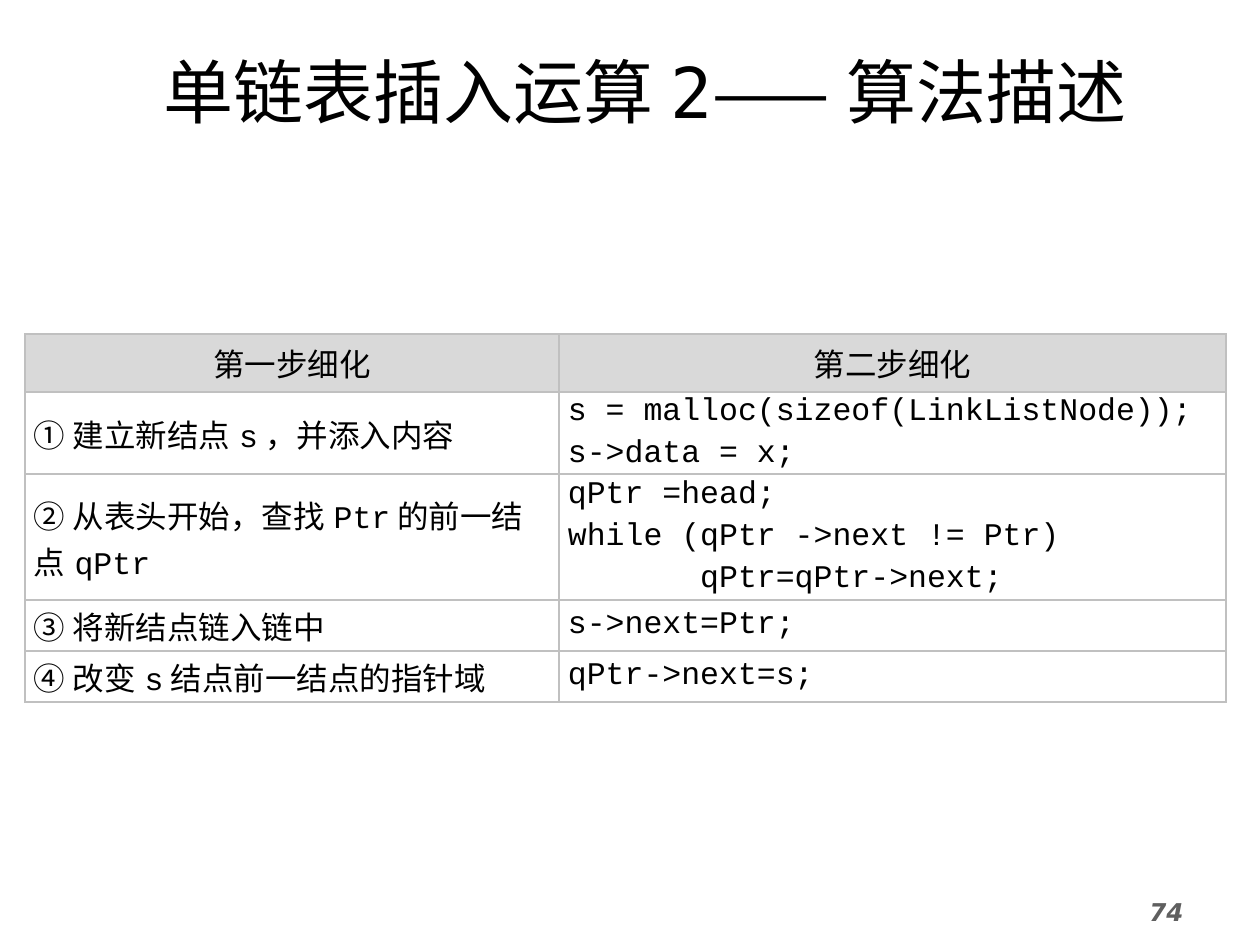
import dataclasses

import lxml.etree
import pptx
import pptx.dml.color
import pptx.enum.text
import pptx.oxml.ns
import pptx.util

PX = 914400 / 126
ALIGN = pptx.enum.text.PP_ALIGN
MIDDLE = pptx.enum.text.MSO_ANCHOR.MIDDLE


@dataclasses.dataclass(frozen=True)
class Theme:
    ink: str = "000000"
    page_number: str = "5F5F5F"
    header_fill: str = "D9D9D9"
    cell_fill: str = "FFFFFF"
    border: str = "C0C0C0"
    title_size: int = 40
    table_size: int = 18
    page_size: int = 14
    paragraph_gap: float = 3.6
    chinese_font: str = "Noto Sans CJK SC"
    title_font: str = "DejaVu Sans Mono"
    code_font: str = "Courier New"
    page_font: str = "DejaVu Sans"


THEME = Theme()

STEPS = [
    ("① 建立新结点s，并添入内容",
     ["s = malloc(sizeof(LinkListNode));", "s->data = x;"]),
    ("② 从表头开始，查找Ptr的前一结点qPtr",
     ["qPtr =head;", "while (qPtr ->next != Ptr)", "       qPtr=qPtr->next;"]),
    ("③ 将新结点链入链中", ["s->next=Ptr;"]),
    ("④ 改变s结点前一结点的指针域", ["qPtr->next=s;"]),
]


def px(length):
    return pptx.util.Emu(round(length * PX))


def rgb(colour):
    return pptx.dml.color.RGBColor.from_string(colour)


def write(paragraph, text, size, font, colour=THEME.ink, align=ALIGN.LEFT,
          bold=False, italic=False):
    """Append one formatted run to the paragraph."""
    paragraph.alignment = align
    run = paragraph.add_run()
    run.text = text
    run.font.size = pptx.util.Pt(size)
    run.font.name = font
    run.font.bold = bold
    run.font.italic = italic
    run.font.color.rgb = rgb(colour)
    east_asian = lxml.etree.SubElement(run._r.get_or_add_rPr(), pptx.oxml.ns.qn("a:ea"))
    east_asian.set("typeface", THEME.chinese_font)


def place_title(slide, left, top, width, height):
    title = slide.shapes.title
    title.left, title.top = px(left), px(top)
    title.width, title.height = px(width), px(height)
    frame = title.text_frame
    frame.vertical_anchor = MIDDLE
    for text, font in (("单链表插入运算2", THEME.title_font),
                       ("——算法描述", THEME.chinese_font)):
        write(frame.paragraphs[0], text, THEME.title_size, font, align=ALIGN.CENTER)


def draw_borders(cell):
    properties = cell._tc.get_or_add_tcPr()
    for side in ("lnL", "lnR", "lnT", "lnB"):
        line = lxml.etree.SubElement(properties, pptx.oxml.ns.qn(f"a:{side}"))
        line.set("w", str(pptx.util.Pt(1)))
        solid = lxml.etree.SubElement(line, pptx.oxml.ns.qn("a:solidFill"))
        colour = lxml.etree.SubElement(solid, pptx.oxml.ns.qn("a:srgbClr"))
        colour.set("val", THEME.border)


def fill_cell(cell, lines, fill, margins, align=ALIGN.LEFT):
    """Format a cell; margins are left/right, top and bottom in px."""
    side, top, bottom = margins
    cell.margin_left = cell.margin_right = px(side)
    cell.margin_top, cell.margin_bottom = px(top), px(bottom)
    cell.vertical_anchor = MIDDLE
    draw_borders(cell)
    cell.fill.solid()
    cell.fill.fore_color.rgb = rgb(fill)
    frame = cell.text_frame
    for index, text in enumerate(lines):
        paragraph = frame.add_paragraph() if index else frame.paragraphs[0]
        if index:
            paragraph.space_before = pptx.util.Pt(THEME.paragraph_gap)
        write(paragraph, text, THEME.table_size, THEME.code_font, align=align)


def place_refinement_table(slide, left, top, column_widths, row_heights):
    table = slide.shapes.add_table(
        len(row_heights), len(column_widths), px(left), px(top),
        px(sum(column_widths)), px(sum(row_heights))).table
    table.horz_banding = False
    table.first_row = False
    for column, width in zip(table.columns, column_widths):
        column.width = px(width)
    for row, height in zip(table.rows, row_heights):
        row.height = px(height)

    for column, heading in enumerate(("第一步细化", "第二步细化")):
        fill_cell(table.cell(0, column), [heading], THEME.header_fill,
                  margins=(13, 6, 6), align=ALIGN.CENTER)
    for row, (step, code) in enumerate(STEPS, start=1):
        fill_cell(table.cell(row, 0), [step], THEME.cell_fill, margins=(9, 1, 0))
        fill_cell(table.cell(row, 1), code, THEME.cell_fill, margins=(9, 0, 0))


def place_page_number(slide, left, top, width, height):
    box = slide.shapes.add_textbox(px(left), px(top), px(width), px(height))
    box.text_frame.word_wrap = True
    write(box.text_frame.paragraphs[0], "74", THEME.page_size, THEME.page_font,
          colour=THEME.page_number, bold=True, italic=True)


def main():
    presentation = pptx.Presentation()
    presentation.slide_width, presentation.slide_height = px(1260), px(945)
    slide = presentation.slides.add_slide(presentation.slide_layouts[5])
    place_page_number(slide, 1137, 891, 128, 54)
    place_title(slide, 44, 42, 1202, 97)
    place_refinement_table(slide, 25, 334, column_widths=(534, 667),
                           row_heights=(58, 78, 119, 51, 51))
    presentation.save("out.pptx")


if __name__ == "__main__":
    main()
